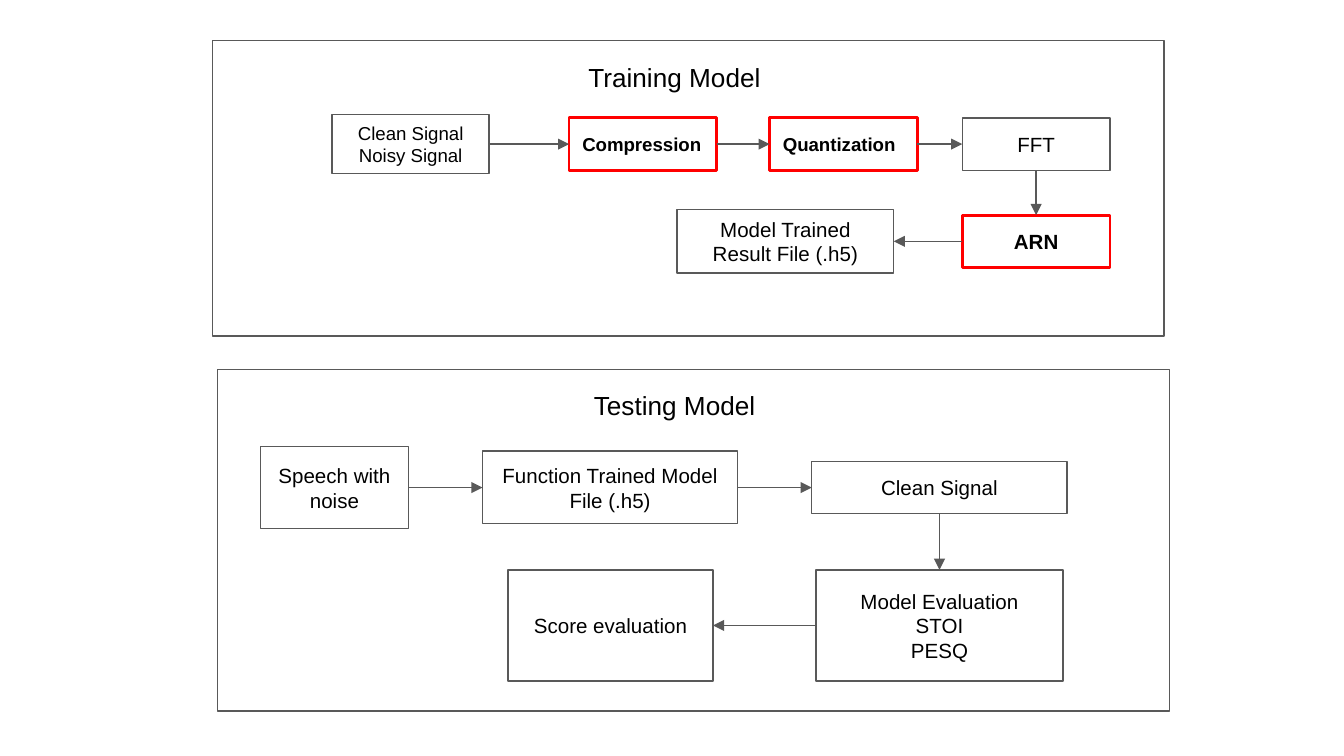
"""Build a slide with the training and testing flows of a speech model."""
import pptx
import pptx.dml.color
import pptx.enum.shapes
import pptx.enum.text
import pptx.oxml
import pptx.util

Pt = pptx.util.Pt
RGB = pptx.dml.color.RGBColor
ALIGN = pptx.enum.text.PP_ALIGN
ANCHOR = pptx.enum.text.MSO_ANCHOR
TOP, LEFT, BOTTOM, RIGHT = range(4)

THEME = {
    "font": "Arial",
    "ink": RGB(0, 0, 0),
    "paper": RGB(255, 255, 255),
    "line": RGB(0x59, 0x59, 0x59),
    "accent": RGB(255, 0, 0),
    "line_width": 0.75,
    "accent_width": 1.5,
    "caption": 14,
    "body": 11,
    "small": 10,
    "inset": 7.2,
}

PANELS = [
    {
        "frame": (113.8, 21.6, 509.8, 158.4),
        "caption": ("Training Model", (239, 25.9, 244.8, 31.7)),
        "boxes": {
            "signals": ("Clean Signal\nNoisy Signal", (220, 77.2), (84.2, 31.7), "small"),
            "compression": ("Compression", (344.5, 77.2), (79.2, 28.1), "small"),
            "quantization": ("Quantization", (451.9, 77.2), (79.2, 28.1), "small"),
            "fft": ("FFT", (555.1, 77.2), (79.2, 28.1), "body"),
            "arn": ("ARN", (555.1, 129.3), (79.2, 28.1), "body"),
            "result": ("Model Trained Result File (.h5)", (420.8, 129.3), (116, 34), "body"),
        },
        "accented": {"compression", "quantization", "arn"},
        "left_aligned": {"compression", "quantization"},
        "arrows": [
            ("signals", RIGHT, "compression", LEFT),
            ("compression", RIGHT, "quantization", LEFT),
            ("quantization", RIGHT, "fft", LEFT),
            ("fft", BOTTOM, "arn", TOP),
            ("arn", LEFT, "result", RIGHT),
        ],
    },
    {
        "frame": (116.6, 198, 509.8, 182.9),
        "caption": ("Testing Model", (148.3, 201.6, 426.2, 31.7)),
        "boxes": {
            "speech": ("Speech with noise", (179.2, 261.2), (79.2, 44), "body"),
            "function": ("Function Trained Model File (.h5)", (326.9, 261.2), (136.8, 38.9), "body"),
            "clean": ("Clean Signal", (503.3, 261.2), (136.8, 28.1), "body"),
            "evaluation": ("Model Evaluation\vSTOI\nPESQ", (503.3, 335.1), (132.3, 59.6), "body"),
            "score": ("Score evaluation", (327.1, 335.1), (109.8, 59.6), "body"),
        },
        "accented": set(),
        "left_aligned": set(),
        "arrows": [
            ("speech", RIGHT, "function", LEFT),
            ("function", RIGHT, "clean", LEFT),
            ("clean", BOTTOM, "evaluation", TOP),
            ("evaluation", LEFT, "score", RIGHT),
        ],
    },
]


def write(shape, text, size, bold=False, align=ALIGN.CENTER, anchor=ANCHOR.MIDDLE):
    """Put formatted text into a shape."""
    frame = shape.text_frame
    frame.text = text
    frame.word_wrap = True
    frame.vertical_anchor = anchor
    frame.margin_left = frame.margin_right = Pt(THEME["inset"])
    frame.margin_top = frame.margin_bottom = Pt(THEME["inset"])
    for para in frame.paragraphs:
        para.alignment = align
        for span in para.runs:
            span.font.name = THEME["font"]
            span.font.size = Pt(THEME[size])
            span.font.bold = bold
            span.font.color.rgb = THEME["ink"]


def add_box(page, bounds, accented=False):
    """Add a white outlined rectangle."""
    box = page.shapes.add_shape(pptx.enum.shapes.MSO_SHAPE.RECTANGLE, *map(Pt, bounds))
    box.shadow.inherit = False
    box.fill.solid()
    box.fill.fore_color.rgb = THEME["paper"]
    box.line.color.rgb = THEME["accent" if accented else "line"]
    box.line.width = Pt(THEME["accent_width" if accented else "line_width"])
    return box


def add_arrow(page, start, start_side, end, end_side):
    """Join two boxes with an arrow."""
    arrow = page.shapes.add_connector(pptx.enum.shapes.MSO_CONNECTOR.STRAIGHT, 0, 0, 0, 0)
    arrow.begin_connect(start, start_side)
    arrow.end_connect(end, end_side)
    arrow.line.color.rgb = THEME["line"]
    arrow.line.width = Pt(THEME["line_width"])
    head = pptx.oxml.ns.qn("a:tailEnd")
    arrow.line._get_or_add_ln().append(arrow._element.makeelement(head, {"type": "triangle"}))
    effects = pptx.oxml.ns.qn("a:effectLst")
    arrow._element.spPr.append(arrow._element.makeelement(effects, {}))


def add_panel(page, panel):
    """Draw one framed flow with its caption, boxes and arrows."""
    add_box(page, panel["frame"])
    caption, bounds = panel["caption"]
    write(page.shapes.add_textbox(*map(Pt, bounds)), caption, "caption", anchor=ANCHOR.TOP)
    boxes = {}
    for name, (text, (x, y), (width, height), size) in panel["boxes"].items():
        accented = name in panel["accented"]
        align = ALIGN.LEFT if name in panel["left_aligned"] else ALIGN.CENTER
        boxes[name] = add_box(page, (x - width / 2, y - height / 2, width, height), accented)
        write(boxes[name], text, size, accented, align)
    for start, start_side, end, end_side in panel["arrows"]:
        add_arrow(page, boxes[start], start_side, boxes[end], end_side)


def main():
    """Create and save the deck."""
    deck = pptx.Presentation()
    deck.slide_width, deck.slide_height = Pt(720), Pt(405)
    page = deck.slides.add_slide(deck.slide_layouts.get_by_name("Blank"))
    for panel in PANELS:
        add_panel(page, panel)
    deck.save("out.pptx")


if __name__ == "__main__":
    main()
